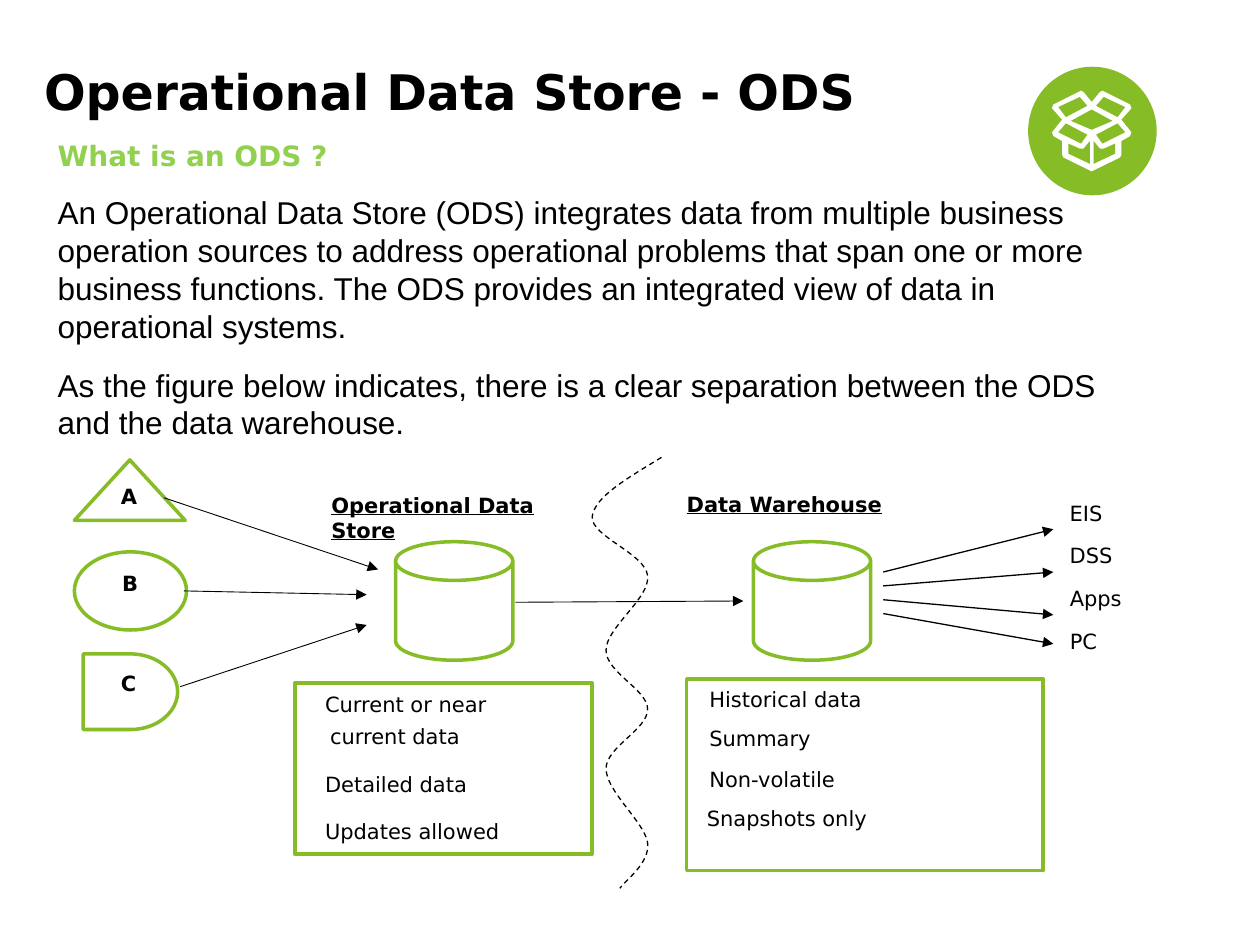
from dataclasses import dataclass

import lxml.etree
import pptx
import pptx.dml.color
import pptx.enum.dml
import pptx.enum.shapes
import pptx.enum.text
import pptx.oxml.ns
import pptx.util
from pptx.util import Inches

GREEN, LIME, BLACK, WHITE = "86BC25", "92D050", "000000", "FFFFFF"
HEADING_FONT, BODY_FONT = "DejaVu Sans", "Arial"
SHAPE = pptx.enum.shapes.MSO_SHAPE
Point = tuple[float, float]


@dataclass
class Label:
    text: str
    left: float
    top: float
    width: float
    bold: bool = False
    underline: bool = False
    wrap: bool = False


@dataclass
class Outline:
    kind: int
    left: float
    top: float
    width: float
    height: float


@dataclass
class Arrow:
    start: Point
    end: Point
    weight: float = 0.5


def rgb(value: str) -> pptx.dml.color.RGBColor:
    return pptx.dml.color.RGBColor.from_string(value)


def paint(shape, fill: str | None, line: str | None, weight: float = 2) -> None:
    shape.shadow.inherit = False
    if fill:
        shape.fill.solid()
        shape.fill.fore_color.rgb = rgb(fill)
    else:
        shape.fill.background()
    if line:
        shape.line.color.rgb = rgb(line)
        shape.line.width = pptx.util.Pt(weight)
    else:
        shape.line.fill.background()


def add_outline(slide, outline: Outline, fill: str = WHITE, line: str | None = GREEN):
    shape = slide.shapes.add_shape(
        outline.kind, Inches(outline.left), Inches(outline.top),
        Inches(outline.width), Inches(outline.height))
    paint(shape, fill, line)
    return shape


def add_path(slide, points: list[Point], closed: bool = True):
    scaled = [(Inches(x), Inches(y)) for x, y in points]
    builder = slide.shapes.build_freeform(*scaled[0])
    builder.add_line_segments(scaled[1:], close=closed)
    return builder.convert_to_shape()


def add_frame(slide, left: float, top: float, width: float, height: float, inset: bool = False):
    frame = slide.shapes.add_textbox(
        Inches(left), Inches(top), Inches(width), Inches(height)).text_frame
    frame.word_wrap = True
    if not inset:
        frame.margin_left = frame.margin_right = frame.margin_top = frame.margin_bottom = 0
    return frame


def style(paragraph, name: str, size: float, colour: str = BLACK, bold: bool = False) -> None:
    font = paragraph.font
    font.name, font.size, font.bold = name, pptx.util.Pt(size), bold
    font.color.rgb = rgb(colour)


def add_label(slide, label: Label) -> None:
    frame = add_frame(slide, label.left, label.top, label.width, 0.2)
    frame.word_wrap = label.wrap
    frame.auto_size = pptx.enum.text.MSO_AUTO_SIZE.SHAPE_TO_FIT_TEXT
    paragraph = frame.paragraphs[0]
    paragraph.text = label.text
    style(paragraph, HEADING_FONT, 12, bold=label.bold)
    paragraph.font.underline = label.underline


def add_arrow(slide, arrow: Arrow) -> None:
    connector = slide.shapes.add_connector(
        pptx.enum.shapes.MSO_CONNECTOR.STRAIGHT,
        *(Inches(value) for value in arrow.start + arrow.end))
    connector.line.color.rgb = rgb(BLACK)
    connector.line.width = pptx.util.Pt(arrow.weight)
    qn = pptx.oxml.ns.qn
    lxml.etree.SubElement(connector.line._get_or_add_ln(), qn("a:tailEnd"), type="triangle")
    lxml.etree.SubElement(connector._element.spPr, qn("a:effectLst"))


def bezier(p0: Point, p1: Point, p2: Point, p3: Point, steps: int = 16) -> list[Point]:
    weights = [((1 - t) ** 3, 3 * t * (1 - t) ** 2, 3 * t * t * (1 - t), t ** 3)
               for t in (step / steps for step in range(1, steps + 1))]
    return [tuple(sum(w * p[axis] for w, p in zip(ws, (p0, p1, p2, p3))) for axis in (0, 1))
            for ws in weights]


presentation = pptx.Presentation()
presentation.slide_width, presentation.slide_height = Inches(10), Inches(7.5)
slide = presentation.slides.add_slide(presentation.slide_layouts[6])

# Title and explanation
title = add_frame(slide, 0.35, 0.49, 9.23, 0.83).paragraphs[0]
title.text = "Operational Data Store - ODS"
title.space_after = pptx.util.Pt(10)
style(title, HEADING_FONT, 28, bold=True)

explanation = add_frame(slide, 0.36, 0.92, 8.77, 4.51, inset=True)
question = explanation.paragraphs[0]
question.text = "What is an ODS ?"
question.alignment = pptx.enum.text.PP_ALIGN.JUSTIFY
question.line_spacing = 1.5
style(question, HEADING_FONT, 16, LIME, bold=True)
for answer in (
    "An Operational Data Store (ODS) integrates data from multiple business operation sources "
    "to address operational problems that span one or more business functions. The ODS provides "
    "an integrated view of data in operational systems.",
    "As the figure below indicates, there is a clear separation between the ODS and the data "
    "warehouse.",
):
    paragraph = explanation.add_paragraph()
    paragraph.text = answer
    paragraph.space_before = pptx.util.Pt(12)
    style(paragraph, BODY_FONT, 18)

# Open box icon: white silhouette with green faces, mirrored about the centre
BOX_CENTRE = 8.665


def mirrored(points: list[Point]) -> list[Point]:
    return [(2 * BOX_CENTRE - x, y) for x, y in points]


add_outline(slide, Outline(SHAPE.OVAL, 8.16, 0.53, 1.02, 1.02), GREEN, None)
left_edge = [(BOX_CENTRE, 0.81), (8.6, 0.73), (8.58, 0.72), (8.36, 0.83), (8.35, 0.86),
             (8.43, 0.95), (8.35, 1.05), (8.36, 1.08), (8.43, 1.12), (8.43, 1.23),
             (8.44, 1.25), (BOX_CENTRE, 1.36)]
paint(add_path(slide, left_edge + mirrored(left_edge)[-2:0:-1]), WHITE, None)
left_faces = [
    [(8.63, 0.84), (8.57, 0.77), (8.4, 0.85), (8.46, 0.93)],
    [(8.63, 1.07), (8.46, 0.98), (8.4, 1.05), (8.58, 1.14)],
    [(8.57, 1.18), (8.48, 1.14), (8.48, 1.22), (8.65, 1.3), (8.65, 1.12), (8.6, 1.18)],
]
opening = [(BOX_CENTRE, 0.87), (8.5, 0.96), (BOX_CENTRE, 1.03), (8.83, 0.96)]
for face in [opening, *left_faces, *map(mirrored, left_faces)]:
    paint(add_path(slide, face), GREEN, None)

# Sources, stores and detail panels
for outline in (
    Outline(SHAPE.ISOSCELES_TRIANGLE, 0.59, 3.65, 0.88, 0.48),
    Outline(SHAPE.OVAL, 0.59, 4.38, 0.89, 0.62),
    Outline(SHAPE.FLOWCHART_DELAY, 0.66, 5.19, 0.75, 0.6),
    Outline(SHAPE.RECTANGLE, 2.34, 5.42, 2.36, 1.36),
    Outline(SHAPE.RECTANGLE, 5.45, 5.39, 2.83, 1.52),
):
    add_outline(slide, outline)
for store_left in (3.14, 5.98):
    store = add_outline(slide, Outline(SHAPE.CAN, store_left, 4.3, 0.93, 0.94))
    store.adjustments[0] = 0.33

# Labels
labels = [
    Label("A", 0.96, 3.84, 0.13, bold=True),
    Label("B", 0.97, 4.53, 0.13, bold=True),
    Label("C", 0.96, 5.32, 0.12, bold=True),
    Label("Operational Data Store", 2.63, 3.91, 2.1, bold=True, underline=True, wrap=True),
    Label("Data Warehouse", 5.45, 3.9, 1.57, bold=True, underline=True),
    Label("Current or near", 2.58, 5.49, 1.32),
    Label("current data", 2.62, 5.74, 1.05),
    Label("Detailed data", 2.58, 6.12, 1.14),
    Label("Updates allowed", 2.58, 6.5, 1.4),
    Label("Historical data", 5.63, 5.45, 1.23),
    Label("Summary", 5.63, 5.76, 0.83),
    Label("Non-volatile", 5.63, 6.08, 1.02),
    Label("Snapshots only", 5.61, 6.39, 1.29),
]
labels += [Label(name, 8.49, 3.97 + 0.34 * row, width) for row, (name, width) in enumerate(
    [("EIS", 0.54), ("DSS", 0.7), ("Apps", 0.81), ("PC", 0.22)])]
for label in labels:
    add_label(slide, label)

# Data flows
flows = [
    Arrow((1.3, 3.95), (3, 4.52)),
    Arrow((1.46, 4.69), (2.91, 4.72)),
    Arrow((1.43, 5.45), (2.91, 4.96)),
    Arrow((4.09, 4.78), (5.9, 4.77)),
]
flows += [Arrow((7.01, 4.54 + 0.11 * row), (8.36, end), 0.75)
          for row, end in enumerate([4.2, 4.54, 4.88, 5.11])]
for flow in flows:
    add_arrow(slide, flow)

# Wavy boundary between the store and the warehouse
boundary = [(5.25, 3.63)]
for curve in (
    [(4.99, 3.79), (4.72, 3.94), (4.7, 4.1)],
    [(4.69, 4.26), (5.12, 4.39), (5.14, 4.57)],
    [(5.16, 4.75), (4.81, 4.98), (4.81, 5.16)],
    [(4.81, 5.34), (5.14, 5.47), (5.14, 5.63)],
    [(5.14, 5.79), (4.81, 5.93), (4.81, 6.1)],
    [(4.81, 6.28), (5.12, 6.53), (5.14, 6.69)],
    [(5.16, 6.85), (4.96, 6.99), (4.92, 7.05)],
):
    boundary += bezier(boundary[-1], *curve)
divider = add_path(slide, boundary, closed=False)
paint(divider, None, BLACK, 0.75)
divider.line.dash_style = pptx.enum.dml.MSO_LINE.DASH

presentation.save("out.pptx")
